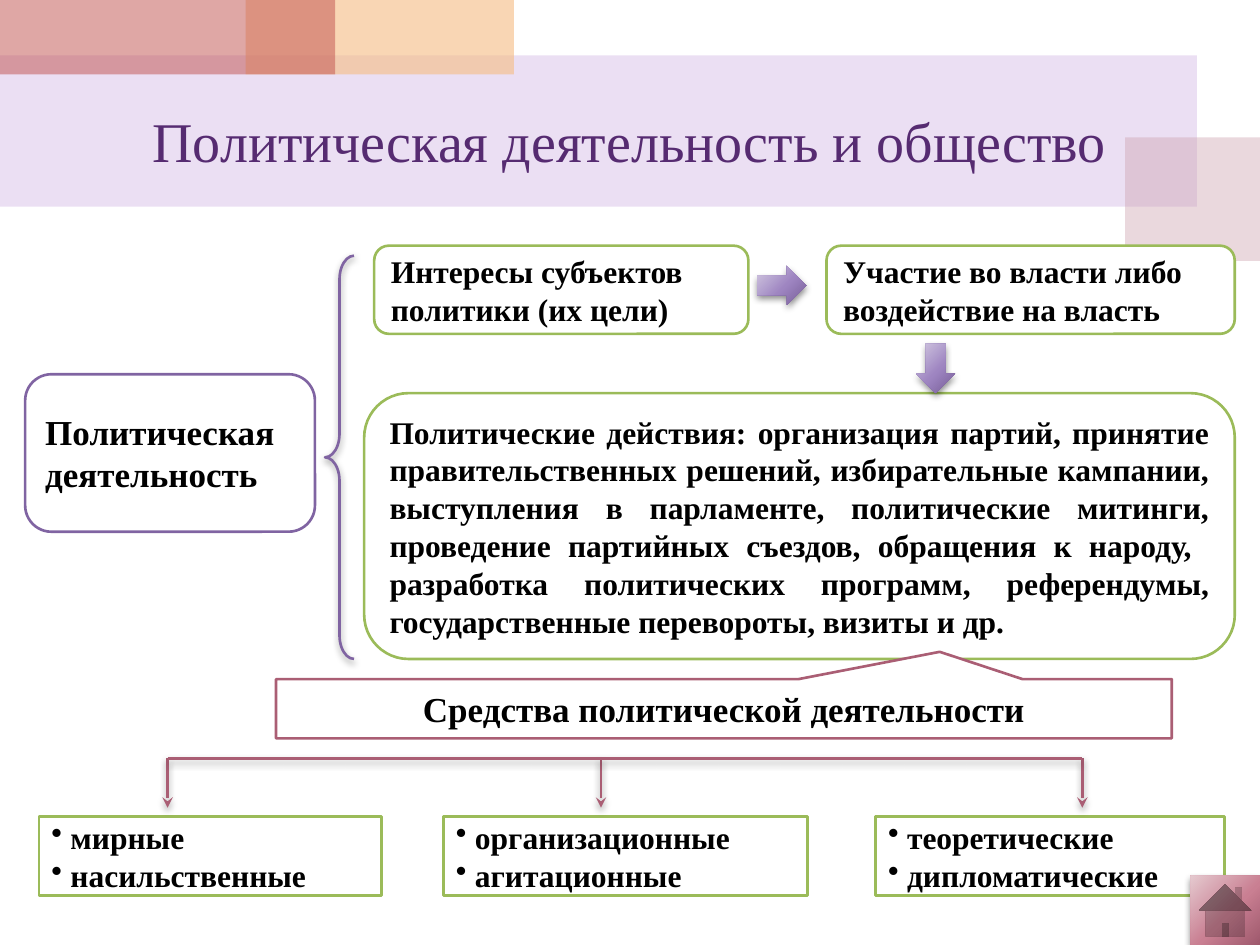
import dataclasses

import lxml.etree
import pptx
import pptx.dml.color
import pptx.enum.shapes
import pptx.enum.text
import pptx.oxml
import pptx.oxml.ns
import pptx.util

Inches = pptx.util.Inches
Shape = pptx.enum.shapes.MSO_SHAPE
Align = pptx.enum.text.PP_ALIGN
qn = pptx.oxml.ns.qn


@dataclasses.dataclass(frozen=True)
class Theme:
    """Colours, type sizes and line width of the slide."""
    font: str = "Times New Roman"
    title_size: int = 32
    head_size: int = 20
    body_size: int = 18
    line_width: float = 1.5
    title: str = "562B71"
    text: str = "000000"
    paper: str = "FFFFFF"
    purple: str = "8064A2"
    green: str = "9BBB59"
    rose: str = "AA5E74"
    purple_gradient: tuple = ("D4CBE2", "9E85C1", "775D97")
    rose_gradient: tuple = ("E5C9CF", "C97F92", "9E586C")


THEME = Theme()


def rgb(value):
    """Return a colour object for a hex value."""
    return pptx.dml.color.RGBColor.from_string(value)


def sub(parent, tag, **attrs):
    """Append a DrawingML child with the given attributes."""
    child = lxml.etree.SubElement(parent, qn(tag))
    for name, value in attrs.items():
        child.set(name, str(value))
    return child


def add_shape(s, kind, box, line=None, fill=None):
    """Add a flat preset shape with an optional fill and line."""
    sp = s.shapes.add_shape(kind, *(Inches(v) for v in box))
    sp.shadow.inherit = False
    if fill:
        sp.fill.solid()
        sp.fill.fore_color.rgb = rgb(fill)
    else:
        sp.fill.background()
    if line:
        sp.line.color.rgb = rgb(line)
        sp.line.width = pptx.util.Pt(THEME.line_width)
    else:
        sp.line.fill.background()
    return sp


def add_shadow(sp, alpha):
    """Give a shape or connector a soft shadow below it."""
    spPr = sp._element.spPr
    effects = spPr.find(qn("a:effectLst"))
    if effects is None:
        effects = sub(spPr, "a:effectLst")
    shadow = sub(effects, "a:outerShdw", blurRad=pptx.util.Pt(4), dist=pptx.util.Pt(2),
                 dir=90 * 60000, rotWithShape=0)
    sub(sub(shadow, "a:srgbClr", val="000000"), "a:alpha", val=alpha * 1000)


def add_glossy(s, kind, box, colors, rotation=0):
    """Add a shape with a radial gradient and a shadow."""
    sp = add_shape(s, kind, box)
    sp.rotation = rotation
    grad = pptx.oxml.parse_xml(
        f'<a:gradFill {pptx.oxml.ns.nsdecls("a")} rotWithShape="1"/>')
    stops = sub(grad, "a:gsLst")
    for pos, color in zip((0, 55, 100), colors):
        sub(sub(stops, "a:gs", pos=pos * 1000), "a:srgbClr", val=color)
    sub(sub(grad, "a:path", path="circle"), "a:fillToRect",
        l=-40000, t=-90000, r=140000, b=190000)
    spPr = sp._element.spPr
    spPr.replace(spPr.find(qn("a:noFill")), grad)
    add_shadow(sp, 45)


def add_box(s, kind, box, line, lines, size, align=Align.LEFT, bullets=False):
    """Add an outlined box with bold text, one paragraph a line."""
    sp = add_shape(s, kind, box, line, THEME.paper)
    tf = sp.text_frame
    tf.word_wrap = True
    tf.vertical_anchor = pptx.enum.text.MSO_ANCHOR.MIDDLE
    for i, text in enumerate(lines):
        p = tf.add_paragraph() if i else tf.paragraphs[0]
        p.text = text
        p.alignment = align
        p.font.name = THEME.font
        p.font.size = pptx.util.Pt(size)
        p.font.bold = True
        p.font.color.rgb = rgb(THEME.text)
        if bullets:
            pPr = p._p.get_or_add_pPr()
            bullet = pptx.oxml.parse_xml(
                f'<a:buChar {pptx.oxml.ns.nsdecls("a")} char="•"/>')
            pPr.insert(0, bullet)
    return sp


def add_line(s, x1, y1, x2, y2, arrow=False):
    """Add a shadowed straight line, with an arrowhead if asked."""
    c = s.shapes.add_connector(pptx.enum.shapes.MSO_CONNECTOR.STRAIGHT,
                               *(Inches(v) for v in (x1, y1, x2, y2)))
    c.line.color.rgb = rgb(THEME.rose)
    c.line.width = pptx.util.Pt(THEME.line_width)
    if arrow:
        sub(c.line._get_or_add_ln(), "a:tailEnd", type="stealth")
    add_shadow(c, 40)


def add_header(s, left, top, width, height):
    """Place the translucent blocks and the title over them."""
    blocks = (
        ((0, 0.44, 9.5, 1.2), "BF98D8", 30),
        ((8.93, 1.09, 1.07, 0.98), "CC9EAC", 40),
        ((1.95, 0, 2.13, 0.59), "F5BC83", 60),
        ((0, 0, 2.66, 0.59), "C0504D", 50),
    )
    for box, color, alpha in blocks:
        sp = add_shape(s, Shape.RECTANGLE, box, fill=color)
        clr = sp._element.spPr.find(qn("a:solidFill"))[0]
        sub(clr, "a:alpha", val=alpha * 1000)
    title = s.shapes.title
    title.left, title.top = Inches(left), Inches(top)
    title.width, title.height = Inches(width), Inches(height)
    tf = title.text_frame
    tf.text = "Политическая деятельность и общество"
    tf.vertical_anchor = pptx.enum.text.MSO_ANCHOR.MIDDLE
    p = tf.paragraphs[0]
    p.alignment = Align.CENTER
    p.font.name = THEME.font
    p.font.size = pptx.util.Pt(THEME.title_size)
    p.font.color.rgb = rgb(THEME.title)
    s.shapes._spTree.append(title._element)


def add_activity(s, left, top, width, height):
    """Place the activity box, its brace and the chain of steps."""
    right, bottom = left + width, top + height
    add_box(s, Shape.ROUNDED_RECTANGLE, (left, top + 1.02, 2.3, 1.25), THEME.purple,
            ["Политическая деятельность"], THEME.head_size)
    steps = (
        (2.97, 2.97, "Интересы субъектов политики (их цели)"),
        (right - 3.24, 3.24, "Участие во власти либо воздействие на власть"),
    )
    for x, w, text in steps:
        add_box(s, Shape.ROUNDED_RECTANGLE, (x, top, w, 0.7), THEME.green,
                [text], THEME.body_size)
    actions = (
        "Политические действия: организация партий, принятие правительственных решений, "
        "избирательные кампании, выступления в парламенте, политические митинги, "
        "проведение партийных съездов, обращения к народу,  разработка политических "
        "программ, референдумы, государственные перевороты, визиты и др.")
    add_box(s, Shape.ROUNDED_RECTANGLE, (right - 6.91, bottom - 2.11, 6.91, 2.11),
            THEME.green, [actions], THEME.body_size, Align.JUSTIFY)
    for x, y, rotation in ((6.05, top + 0.12, 270), (7.27, top + 0.78, 0)):
        add_glossy(s, Shape.DOWN_ARROW, (x, y, 0.31, 0.39),
                   THEME.purple_gradient, rotation)
    brace = add_shape(s, Shape.LEFT_BRACE, (2.58, top + 0.08, 0.23, height - 0.08),
                      THEME.purple)
    brace.adjustments[0] = 0.817
    add_shadow(brace, 40)


def add_means(s, left, top, width, height):
    """Place the callout, the branching arrows and the three lists."""
    callout = add_box(s, Shape.RECTANGULAR_CALLOUT, (2.19, top, 7.11, 0.47), THEME.rose,
                      ["Средства политической деятельности"], THEME.head_size,
                      Align.CENTER)
    callout.adjustments[0], callout.adjustments[1] = 0.241, -0.961
    branch = top + 0.63
    lists = (
        (left, 2.72, 1.33, (" мирные", " насильственные")),
        (3.52, 2.89, 4.77, (" организационные", " агитационные")),
        (left + width - 2.77, 2.77, 8.59, (" теоретические", " дипломатические")),
    )
    for x, w, arrow_x, items in lists:
        add_box(s, Shape.FLOWCHART_PROCESS, (x, top + height - 0.63, w, 0.63),
                THEME.green, items, THEME.body_size, bullets=True)
        add_line(s, arrow_x, branch, arrow_x, branch + 0.39, arrow=True)
    add_line(s, lists[0][2], branch, lists[-1][2], branch)


def main():
    """Build the slide and save it."""
    prs = pptx.Presentation()
    prs.slide_width, prs.slide_height = Inches(10), Inches(7.5)
    s = prs.slides.add_slide(prs.slide_layouts[5])
    add_header(s, 0.5, 0.59, 9, 1.05)
    add_activity(s, 0.2, 1.95, 9.6, 3.28)
    add_means(s, 0.31, 5.39, 9.41, 1.72)
    add_glossy(s, Shape.ACTION_BUTTON_HOME, (9.45, 6.95, 0.55, 0.55),
               THEME.rose_gradient)
    prs.save("out.pptx")


if __name__ == "__main__":
    main()
